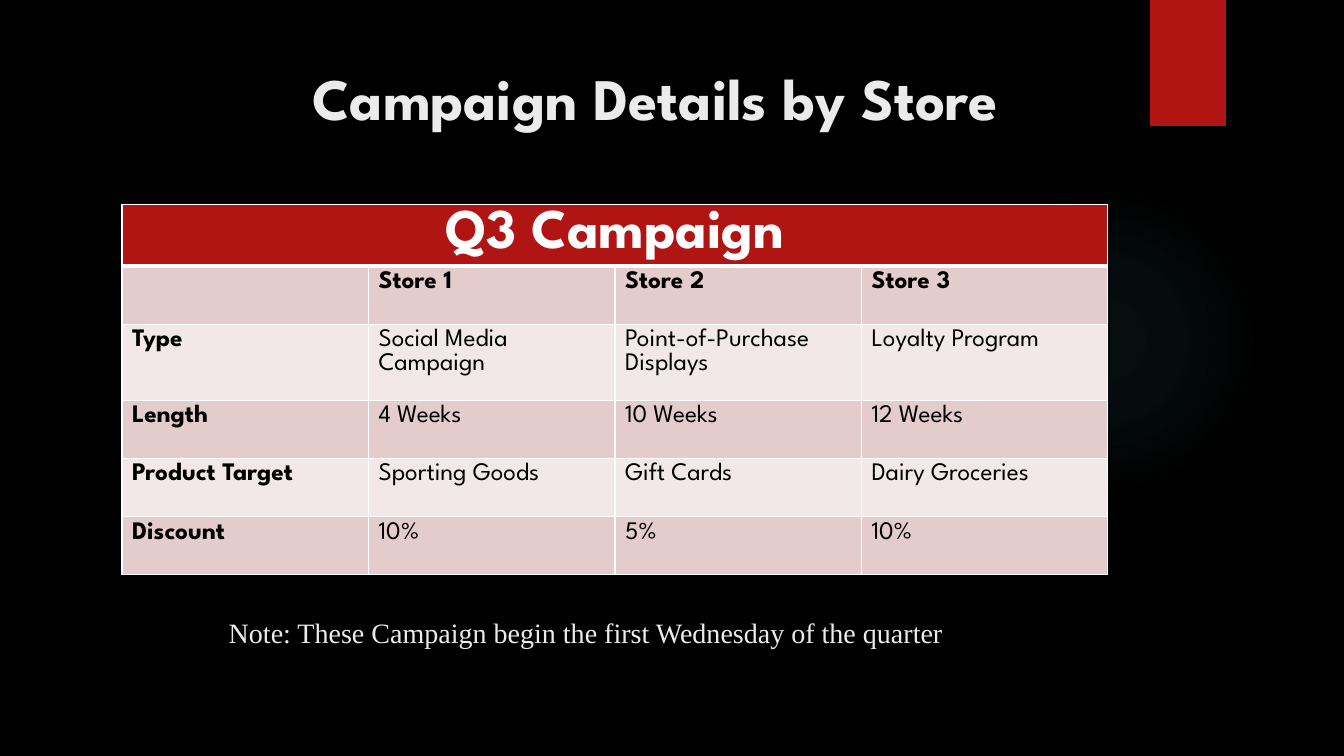
import pptx
import pptx.util
import pptx.dml.color
import pptx.enum.shapes
import pptx.enum.text
import pptx.oxml
import pptx.oxml.ns

RED, WHITE, LIGHT, BLACK = "B01513", "FFFFFF", "EBEBEB", "000000"
BANDS = ["E4CCCC", "F2E8E7"]
SANS, SERIF = "League Spartan", "Times New Roman"
KIND = pptx.enum.shapes.MSO_SHAPE
CENTER = pptx.enum.text.PP_ALIGN.CENTER
ROWS = [
    ["", "Store 1", "Store 2", "Store 3"],
    ["Type", "Social Media Campaign", "Point-of-Purchase Displays", "Loyalty Program"],
    ["Length", "4 Weeks", "10 Weeks", "12 Weeks"],
    ["Product Target", "Sporting Goods", "Gift Cards", "Dairy Groceries"],
    ["Discount", "10%", "5%", "10%"],
]
HEAD, BODY, TALL = 8.07, 7.68, 10.05


def color(code):
    return pptx.dml.color.RGBColor.from_string(code)


def write(frame, text, size=18, font=SANS, ink=BLACK, bold=False, align=None):
    frame.word_wrap = True
    line = frame.paragraphs[0]
    line.alignment = align
    run = line.add_run()
    run.text = text
    run.font.size = pptx.util.Pt(size)
    run.font.name = font
    run.font.bold = bold
    run.font.color.rgb = color(ink)


def border(cell, **sides):
    for side, width in sides.items():
        cell._tc.get_or_add_tcPr().append(pptx.oxml.parse_xml(
            f'<a:ln{side} {pptx.oxml.ns.nsdecls("a")} w="{pptx.util.Pt(width)}">'
            f'<a:solidFill><a:srgbClr val="{WHITE}"/></a:solidFill></a:ln{side}>'))


class Deck:
    def __init__(self):
        self.file = pptx.Presentation()
        self.file.slide_width = pptx.util.Inches(13.33)
        self.file.slide_height = pptx.util.Inches(7.5)
        self.slide = self.file.slides.add_slide(self.file.slide_layouts[5])
        self.slide.background.fill.solid()
        self.slide.background.fill.fore_color.rgb = color(BLACK)

    def wide(self, share):
        return round(self.file.slide_width * share / 100)

    def high(self, share):
        return round(self.file.slide_height * share / 100)

    def area(self, left, top, width, height):
        return self.wide(left), self.high(top), self.wide(width), self.high(height)

    def shape(self, kind, *area):
        item = self.slide.shapes.add_shape(kind, *self.area(*area))
        item.shadow.inherit = False
        item.line.fill.background()
        item.fill.solid()
        item.fill.fore_color.rgb = color(RED)
        return item

    def glow(self, tint, stops, *area):
        props = self.shape(KIND.OVAL, *area)._element.spPr
        marks = "".join(
            f'<a:gs pos="{place * 1000}"><a:srgbClr val="{tint}">'
            f'<a:alpha val="{alpha * 1000}"/></a:srgbClr></a:gs>'
            for place, alpha in stops)
        solid = props.find(pptx.oxml.ns.qn("a:solidFill"))
        props.replace(solid, pptx.oxml.parse_xml(
            f'<a:gradFill {pptx.oxml.ns.nsdecls("a")}><a:gsLst>{marks}</a:gsLst>'
            '<a:path path="circle"><a:fillToRect l="50000" t="50000" r="50000" b="50000"/>'
            '</a:path></a:gradFill>'))

    def title(self, text, *area):
        item = self.slide.shapes.title
        item.left, item.top, item.width, item.height = self.area(*area)
        frame = item.text_frame
        frame.vertical_anchor = pptx.enum.text.MSO_ANCHOR.TOP
        frame.margin_top = self.high(3)
        write(frame, text, size=42, ink=LIGHT, bold=True, align=CENTER)

    def note(self, text, *area):
        item = self.slide.shapes.add_textbox(*self.area(*area))
        write(item.text_frame, text, size=20, font=SERIF, ink=LIGHT)

    def table(self, head, rows, *area):
        count = len(rows[0])
        table = self.slide.shapes.add_table(
            len(rows) + 1, count, *self.area(*area)).table
        table.horz_banding = False
        for col in table.columns:
            col.width = self.wide(area[2] / count)
        for row, share in zip(table.rows, [HEAD, BODY, TALL, BODY, BODY, BODY]):
            row.height = self.high(share)
        table.cell(0, 0).merge(table.cell(0, count - 1))
        for r, row in enumerate(table.rows):
            for c, cell in enumerate(row.cells):
                border(cell, L=1, R=1, T=3 if r == 1 else 1, B=3 if r == 0 else 1)
                cell.fill.solid()
                cell.fill.fore_color.rgb = color(BANDS[(r - 1) % 2] if r else RED)
                if r and rows[r - 1][c]:
                    write(cell.text_frame, rows[r - 1][c], bold=r == 1 or c == 0)
        write(table.cell(0, 0).text_frame, head, size=40, ink=WHITE, bold=True, align=CENTER)


def main():
    deck = Deck()
    deck.glow("50B9C1", [(0, 7), (36, 6), (69, 0)], 70.58, 24.4, 23.1, 41.07)
    deck.shape(KIND.RECTANGLE, 85.58, 0, 5.63, 16.67)
    deck.title("Campaign Details by Store", 10.13, 5.2, 77.2, 20.4)
    deck.table("Q3 Campaign", ROWS, 9.08, 27.07, 73.36, 48.84)
    deck.note("Note: These Campaign begin the first Wednesday of the quarter",
              16.28, 80.8, 67.43, 5.87)
    deck.file.save("out.pptx")


if __name__ == "__main__":
    main()
